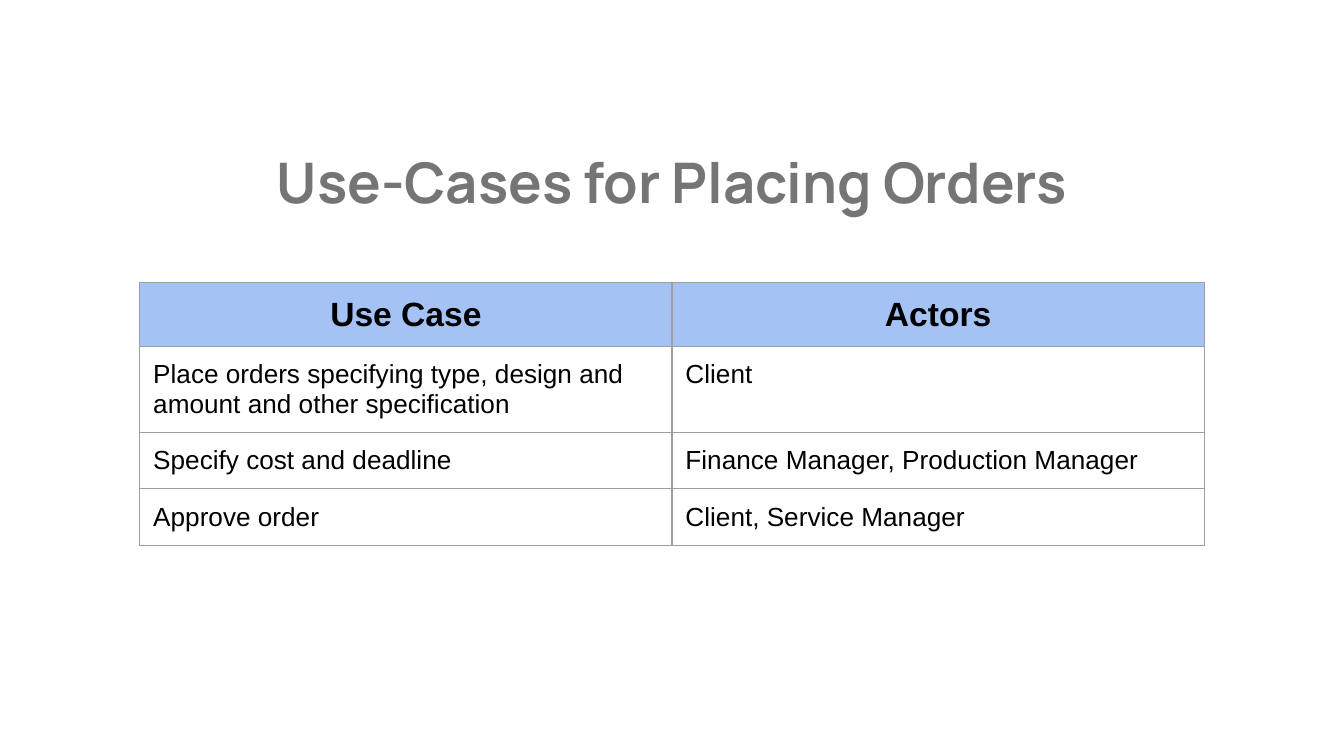
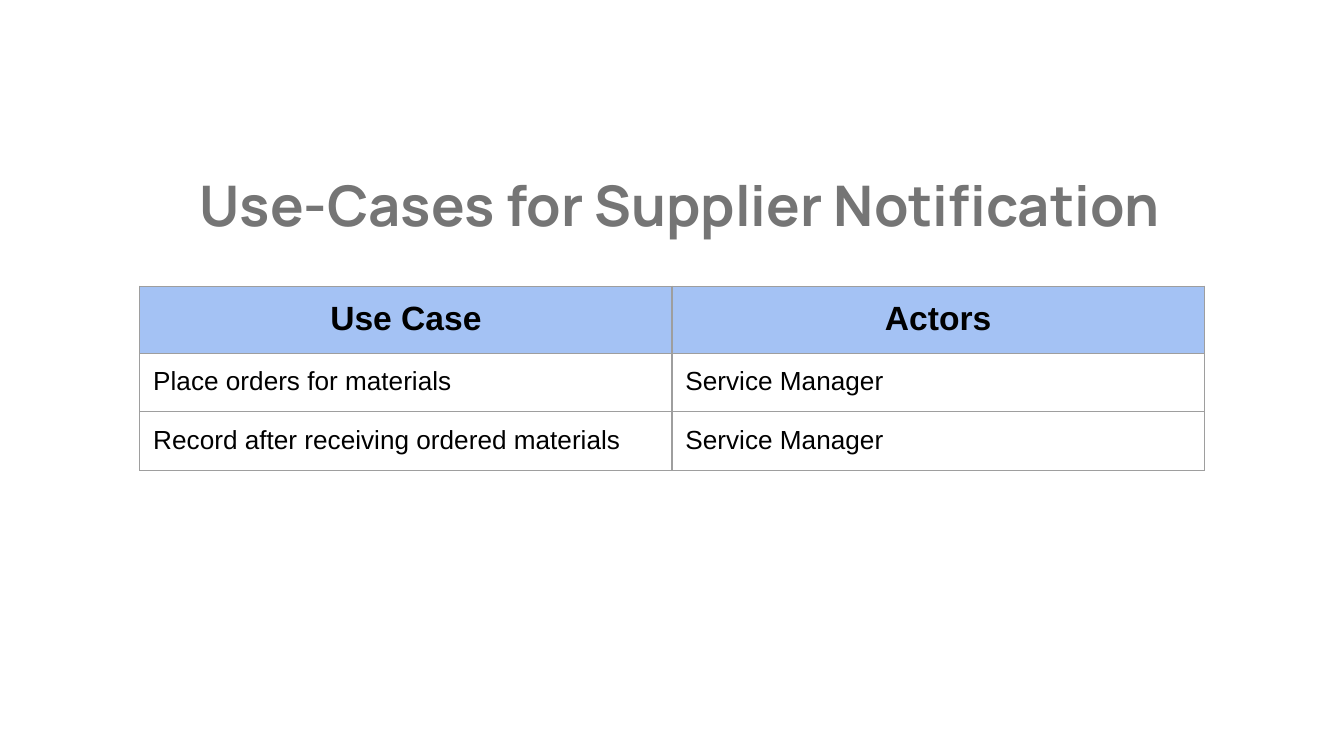
from dataclasses import dataclass

from lxml import etree
from pptx import Presentation
from pptx.dml.color import RGBColor
from pptx.enum.text import MSO_ANCHOR, PP_ALIGN
from pptx.oxml.ns import qn
from pptx.util import Inches, Pt

LEFT, CENTER = PP_ALIGN.LEFT, PP_ALIGN.CENTER
TOP, MIDDLE = MSO_ANCHOR.TOP, MSO_ANCHOR.MIDDLE

HEADERS = ("Use Case", "Actors")
SLIDES = [
    {
        "title": "Use-Cases for Placing Orders",
        "title_at": (0.34, 1),
        "table_top": 2.1,
        "rows": [
            ("Place orders specifying type, design and amount and other specification", "Client"),
            ("Specify cost and deadline", "Finance Manager, Production Manager"),
            ("Approve order", "Client, Service Manager"),
        ],
    },
    {
        "title": "Use-Cases for Supplier Notification",
        "title_at": (0.4, 1.17),
        "table_top": 2.13,
        "rows": [
            ("Place orders for materials", "Service Manager"),
            ("Record after receiving ordered materials", "Service Manager"),
        ],
    },
]


@dataclass(frozen=True)
class Theme:
    title_font: str = "Manrope"
    body_font: str = "Arial"
    title_size: int = 30
    header_size: int = 18
    body_size: int = 14
    title_color: str = "757575"
    text_color: str = "000000"
    header_fill: str = "A4C2F4"
    border_color: str = "9E9E9E"
    border_width: float = 0.75


THEME = Theme()
SLIDE_W = Inches(10)
SLIDE_H = SLIDE_W * 9 // 16
TITLE_W, TITLE_H = 9.32, 0.7
TABLE_LEFT, COL_W, ROW_H = 1.04, 3.96, 0.42
FRAME_SIDE = Inches(3.28)
INSET = Inches(0.1)


def set_text(tf, text, font=THEME.body_font, size=THEME.body_size,
             color=THEME.text_color, bold=False, align=LEFT):
    tf.word_wrap = True
    p = tf.paragraphs[0]
    p.alignment = align
    r = p.add_run()
    r.text = text
    r.font.name = font
    r.font.size = Pt(size)
    r.font.bold = bold
    r.font.color.rgb = RGBColor.from_string(color)


def set_insets(box, anchor):
    box.margin_left = box.margin_right = INSET
    box.margin_top = box.margin_bottom = INSET
    box.vertical_anchor = anchor


def set_borders(cell):
    tc_pr = cell._tc.get_or_add_tcPr()
    for i, side in enumerate(("lnL", "lnR", "lnT", "lnB")):
        ln = etree.Element(qn(f"a:{side}"), w=str(Pt(THEME.border_width)))
        fill = etree.SubElement(ln, qn("a:solidFill"))
        etree.SubElement(fill, qn("a:srgbClr"), val=THEME.border_color)
        tc_pr.insert(i, ln)


def add_title(s, text, at):
    left, top = at
    sp = s.shapes.add_textbox(Inches(left), Inches(top), Inches(TITLE_W), Inches(TITLE_H))
    set_insets(sp.text_frame, MIDDLE)
    set_text(sp.text_frame, text, font=THEME.title_font, size=THEME.title_size,
             color=THEME.title_color, bold=True, align=CENTER)


def add_use_cases(s, body, top):
    rows = [HEADERS, *body]
    n_cols = len(HEADERS)
    frame = s.shapes.add_table(
        len(rows), n_cols, Inches(TABLE_LEFT), Inches(top),
        Inches(COL_W * n_cols), Inches(ROW_H * len(rows)))
    frame.width = frame.height = FRAME_SIDE
    table = frame.table
    table.horz_banding = False
    for i, row in enumerate(rows):
        for j, text in enumerate(row):
            cell = table.cell(i, j)
            set_insets(cell, TOP)
            if i == 0:
                cell.fill.solid()
                cell.fill.fore_color.rgb = RGBColor.from_string(THEME.header_fill)
                set_text(cell.text_frame, text, size=THEME.header_size, bold=True, align=CENTER)
            else:
                cell.fill.background()
                set_text(cell.text_frame, text)
            set_borders(cell)


def main():
    prs = Presentation()
    prs.slide_width, prs.slide_height = SLIDE_W, SLIDE_H
    for content in SLIDES:
        s = prs.slides.add_slide(prs.slide_layouts[6])
        add_use_cases(s, content["rows"], content["table_top"])
        add_title(s, content["title"], content["title_at"])
    prs.save("out.pptx")


if __name__ == "__main__":
    main()
